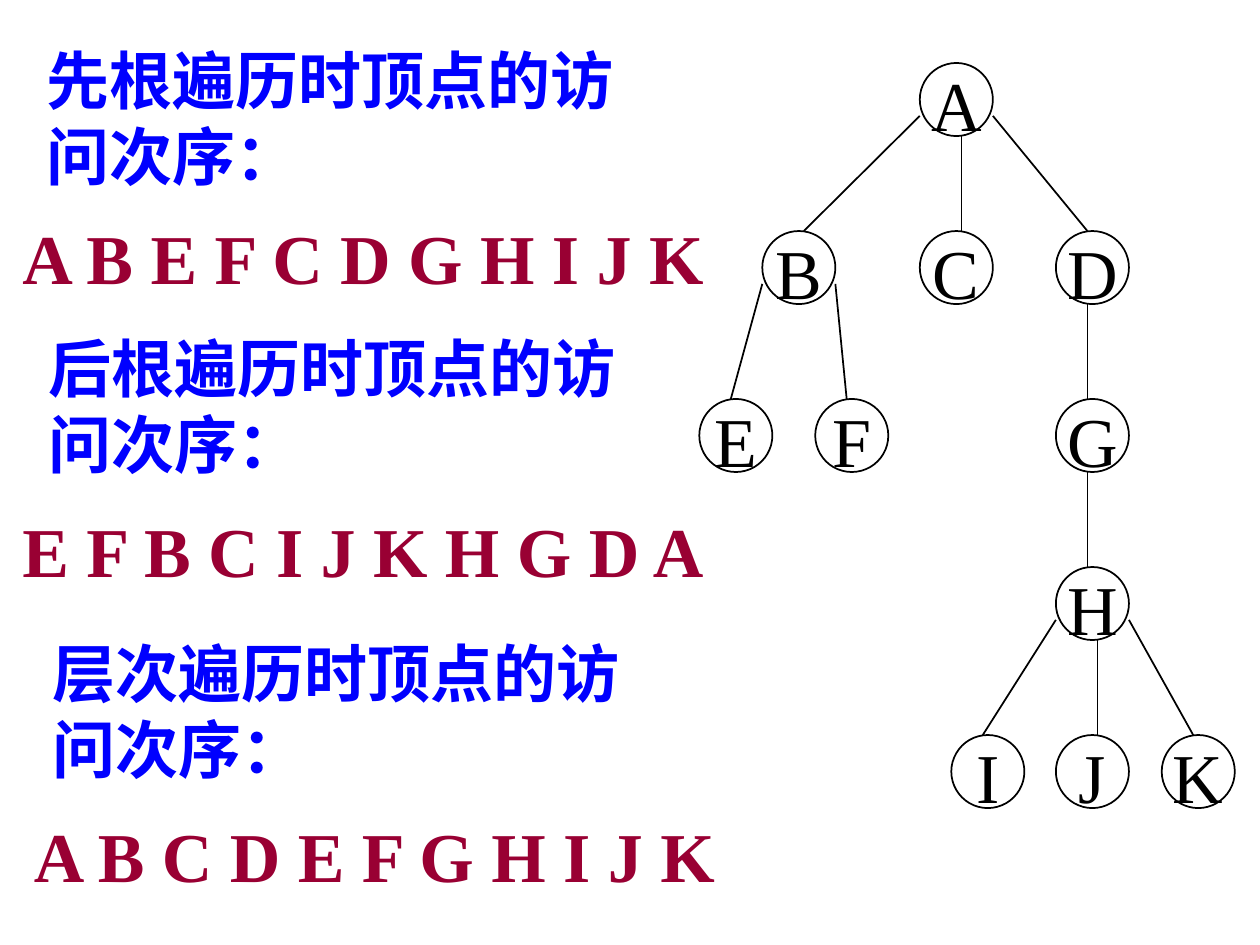
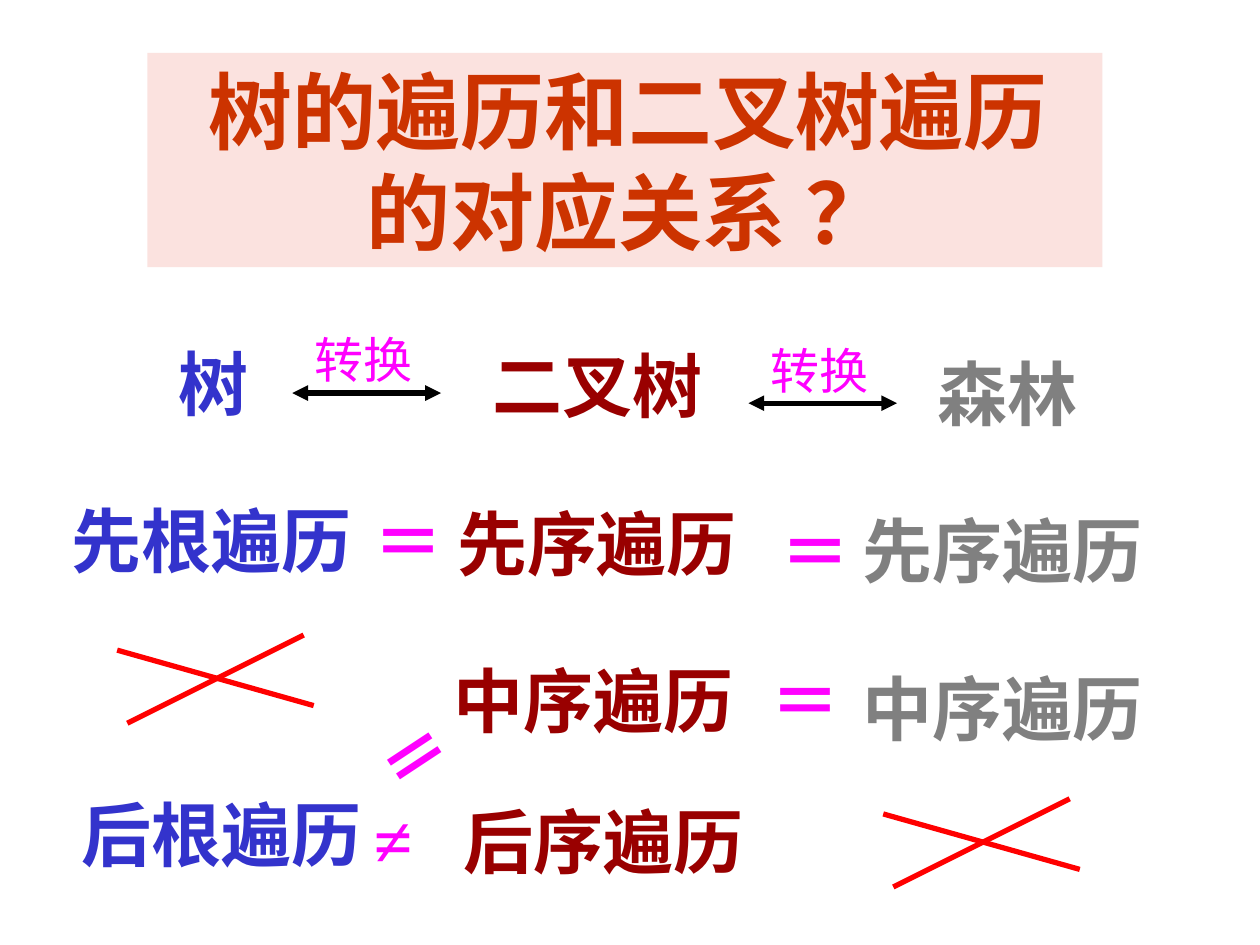
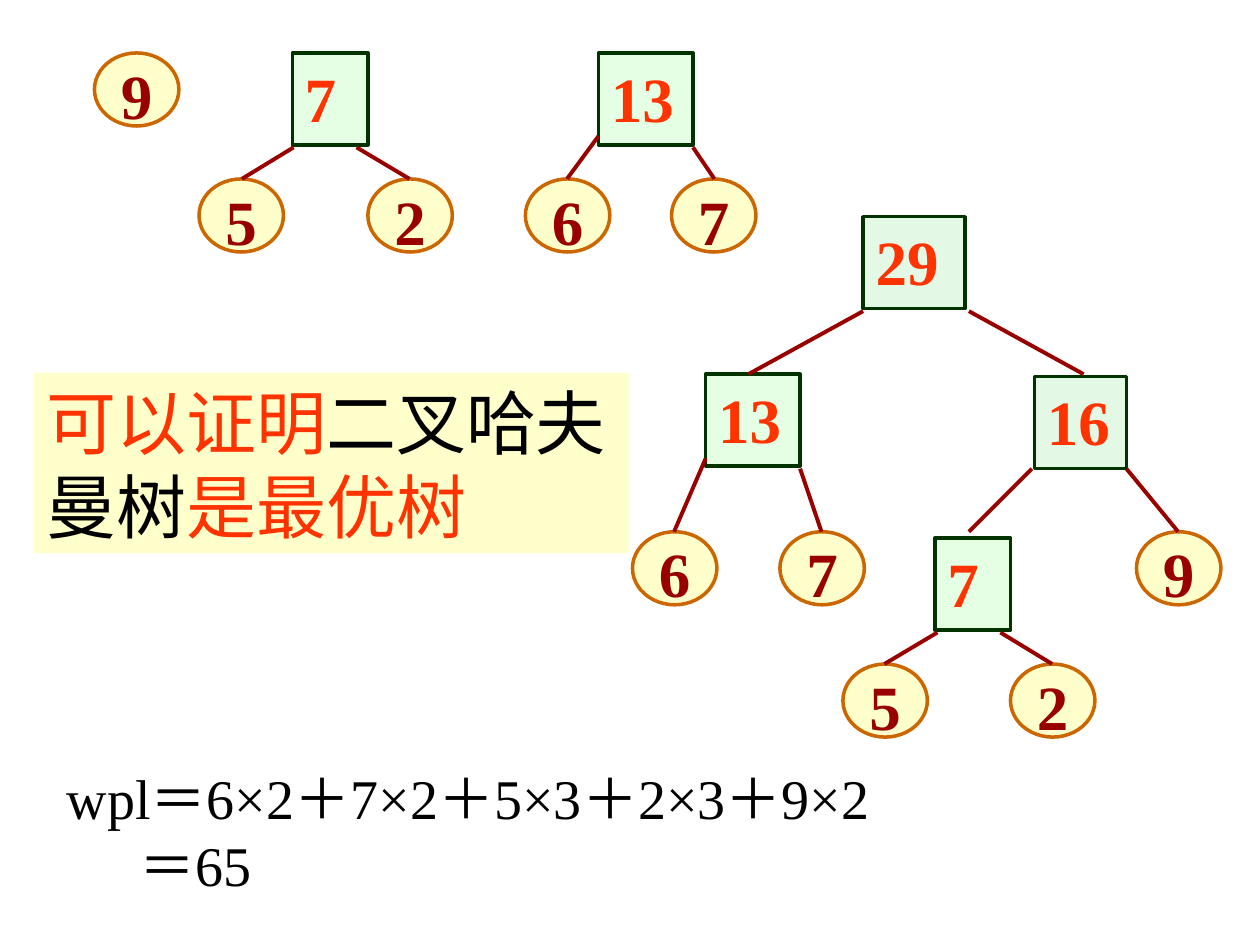
"""Three slides on tree traversal, traversal equivalence and Huffman trees."""
from lxml import etree
from pptx import Presentation
from pptx.dml.color import RGBColor
from pptx.enum import shapes, text
from pptx.oxml.ns import qn
from pptx.util import Inches, Pt

rgb = RGBColor.from_string
OVAL, RECT = shapes.MSO_SHAPE.OVAL, shapes.MSO_SHAPE.RECTANGLE
LEFT, MID = text.PP_ALIGN.LEFT, text.PP_ALIGN.CENTER
BLACK, BLUE, WINE, PINK = "000000", "0000FF", "990033", "FF00FF"
NAVY, MAROON, GREY, RED = "3333CC", "990000", "808080", "FF0000"
RUST, FLAME, GREEN, AMBER = "CC3300", "FF3300", "003300", "CC6600"
BASE = {"name": "Times New Roman", "bold": True}
NODE = {"align": MID, "anchor": text.MSO_ANCHOR.MIDDLE, "wrap": False, "pad": (0, 0.07, 0, 0)}


def put(slide, kind, box, lines, size, bold=True, align=LEFT, wrap=True, pad=(0.1, 0.05, 0.1, 0.05),
        anchor=text.MSO_ANCHOR.TOP, fill=None, alpha=None, edge=None, width=1):
    box = [Inches(v) for v in box]
    if kind == "title":
        shape = slide.shapes.title
        shape.left, shape.top, shape.width, shape.height = box
    elif kind == "text":
        shape = slide.shapes.add_textbox(*box)
    else:
        shape = slide.shapes.add_shape(kind, *box)
        shape.shadow.inherit = False
    if fill:
        shape.fill.solid()
        shape.fill.fore_color.rgb = rgb(fill)
        if alpha:
            tint = shape._element.spPr.find(".//" + qn("a:srgbClr"))
            etree.SubElement(tint, qn("a:alpha"), val=str(alpha * 1000))
    else:
        shape.fill.background()
    if edge:
        shape.line.color.rgb = rgb(edge)
        shape.line.width = Pt(width)
    else:
        shape.line.fill.background()
    frame = shape.text_frame
    fit = text.MSO_AUTO_SIZE.SHAPE_TO_FIT_TEXT if kind == "text" else text.MSO_AUTO_SIZE.NONE
    looks = {"word_wrap": wrap, "auto_size": fit, "vertical_anchor": anchor}
    sides = ("margin_left", "margin_top", "margin_right", "margin_bottom")
    looks.update(zip(sides, map(Inches, pad)))
    for key, val in looks.items():
        setattr(frame, key, val)
    for i, line in enumerate(lines):
        para = frame.paragraphs[0] if i == 0 else frame.add_paragraph()
        para.alignment = align
        for words, tone in line:
            run = para.add_run()
            run.text = words
            for key, val in {**BASE, "size": Pt(size), "bold": bold}.items():
                setattr(run.font, key, val)
            run.font.color.rgb = rgb(tone)
    return shape


def join(slide, ends, tone, width, heads=False):
    line = slide.shapes.add_connector(shapes.MSO_CONNECTOR.STRAIGHT, *[Inches(v) for v in ends])
    line.line.color.rgb = rgb(tone)
    line.line.width = Pt(width)
    if heads:
        for tag in ("a:headEnd", "a:tailEnd"):
            etree.SubElement(line.line._get_or_add_ln(), qn(tag), type="triangle")
    etree.SubElement(line._element.spPr, qn("a:effectLst"))


deck = Presentation()
deck.slide_width, deck.slide_height = Inches(10), Inches(7.5)
blank, titled = deck.slide_layouts[6], deck.slide_layouts[5]

tour = deck.slides.add_slide(blank)
for name, x, y, order, left, top in [
    ("先根", 0.27, 0.28, "ABEFCDGHIJK", 0.08, 1.65),
    ("后根", 0.29, 2.57, "EFBCIJKHGDA", 0.08, 3.98),
    ("层次", 0.32, 4.99, "ABCDEFGHIJK", 0.17, 6.4),
]:
    put(tour, "text", (x, y, 5, 1.3), [[(name + "遍历时顶点的访问次序：", BLUE)]], 36)
    put(tour, "text", (left, top, 5.66, 0.77), [[(" ".join(order), WINE)]], 40, wrap=False)

DIAM, NEAR, FAR, HIP = 0.58, 0.25, 0.33, 0.42
ranks = [{"A": 7.3}, {"B": 6.05, "C": 7.3, "D": 8.38}, {"E": 5.55, "F": 6.47, "G": 8.38},
         {"H": 8.38}, {"I": 7.55, "J": 8.38, "K": 9.22}]
spots = {}
for row, rank in enumerate(ranks):
    for name, x in rank.items():
        spots[name] = x, 0.5 + row * 4 / 3
        put(tour, OVAL, (*spots[name], DIAM, DIAM), [[(name, BLACK)]], 40, bold=False, edge=BLACK, **NODE)
for pair, out, drop, into in [
    ("AB", 0, HIP, FAR), ("AC", FAR, DIAM, FAR), ("AD", DIAM, HIP, NEAR), ("BE", 0, HIP, NEAR),
    ("BF", DIAM, HIP, NEAR), ("DG", NEAR, DIAM, NEAR), ("GH", NEAR, DIAM, NEAR),
    ("HI", 0, HIP, NEAR), ("HJ", FAR, DIAM, FAR), ("HK", DIAM, HIP, NEAR),
]:
    (x, y), (left, top) = spots[pair[0]], spots[pair[1]]
    join(tour, (x + out, y + drop, left + into, top), BLACK, 1)

match = deck.slides.add_slide(titled)
put(match, "title", (1.17, 0.42, 7.58, 1.7), [[("树的遍历和二叉树遍历的对应关系 ？", RUST)]], 48,
    align=MID, pad=(0.18, 0.05, 0.13, 0.05), fill="FBE2DF")
for tone, terms in {
    NAVY: [("树", 1.32, 2.65), ("先根遍历", 0.47, 3.9), ("后根遍历", 0.55, 6.23)],
    MAROON: [("二叉树", 3.81, 2.67), ("先序遍历", 3.53, 3.92), ("中序遍历", 3.5, 5.17), ("后序遍历", 3.58, 6.29)],
    GREY: [("森林", 7.34, 2.73), ("先序遍历", 6.75, 3.98), ("中序遍历", 6.75, 5.23)],
}.items():
    for term, x, y in terms:
        put(match, "text", (x, y, 0.2 + len(term) * 0.56, 0.77), [[(term, tone)]], 40, wrap=False)
for sign, x, y, turn in [("＝", 2.87, 3.91, 0), ("＝", 6.1, 3.99, 0), ("＝", 6.02, 5.17, 0),
                         ("≠", 2.87, 6.27, 0), ("＝", 2.87, 5.48, 326.6)]:
    put(match, "text", (x, y, 1.26, 0.77), [[(sign, PINK)]], 40).rotation = turn
for x, y in [(2.32, 3.12), (5.94, 3.2)]:
    put(match, "text", (x + 0.08, y - 0.55, 1.26, 0.57), [[("转换", PINK)]], 28, bold=False)
    join(match, (x, y, x + 1.18, y), BLACK, 3, heads=True)
for x, y in [(0.93, 5.04), (7.01, 6.34)]:
    join(match, (x, y + 0.12, x + 1.56, y + 0.56), RED, 3)
    join(match, (x + 0.08, y + 0.7, x + 1.48, y), RED, 3)

best = deck.slides.add_slide(blank)
for num, x, y in [("9", 0.75, 0.42), ("5", 1.58, 1.42), ("2", 2.92, 1.42), ("6", 4.17, 1.42), ("7", 5.33, 1.42),
                  ("6", 5.02, 4.22), ("7", 6.19, 4.22), ("9", 9.02, 4.22), ("5", 6.69, 5.27), ("2", 8.02, 5.27)]:
    put(best, OVAL, (x, y, 0.67, 0.58), [[(num, MAROON)]], 36, fill="FFFF99", alpha=50, edge=AMBER, width=2, **NODE)
MINT, SAGE = "CCFFCC", "CAF2CE"
for num, x, y, wide, fill in [("7", 2.32, 0.42, 0.6, MINT), ("13", 4.75, 0.42, 0.75, MINT),
                              ("29", 6.85, 1.72, 0.81, SAGE), ("13", 5.6, 2.97, 0.75, MINT),
                              ("16", 8.21, 2.99, 0.73, SAGE), ("7", 7.42, 4.27, 0.6, MINT)]:
    put(best, RECT, (x, y, wide, 0.73), [[(num, FLAME)]], 36, fill=fill, alpha=50, edge=GREEN, width=2)
for ends in [(2.33, 1.17, 1.92, 1.42), (2.83, 1.17, 3.25, 1.42), (4.75, 1.08, 4.5, 1.42), (5.5, 1.17, 5.67, 1.42),
             (6.85, 2.47, 5.94, 2.97), (7.69, 2.47, 8.6, 2.97), (5.6, 3.64, 5.35, 4.22), (6.35, 3.72, 6.52, 4.22),
             (8.19, 3.72, 7.69, 4.22), (8.94, 3.72, 9.35, 4.22), (7.44, 5.02, 7.02, 5.27), (7.94, 5.02, 8.35, 5.27)]:
    join(best, ends, MAROON, 2.25)
cost = put(best, "text", (0.33, 6.01, 8.29, 1.17),
           [[("wpl＝6×2＋7×2＋5×3＋2×3＋9×2", BLACK)], [("＝65", BLACK)]], 32, bold=False, pad=(0.2, 0.05, 0.1, 0.05))
cost.text_frame.paragraphs[1]._p.get_or_add_pPr().set("marL", str(Inches(0.58)))
put(best, RECT, (0.27, 2.96, 4.72, 1.43),
    [[("可以证明", FLAME), ("二叉哈夫曼树", BLACK), ("是最优树", FLAME)]], 40, bold=False, fill="FFFFCC")

deck.save("out.pptx")
